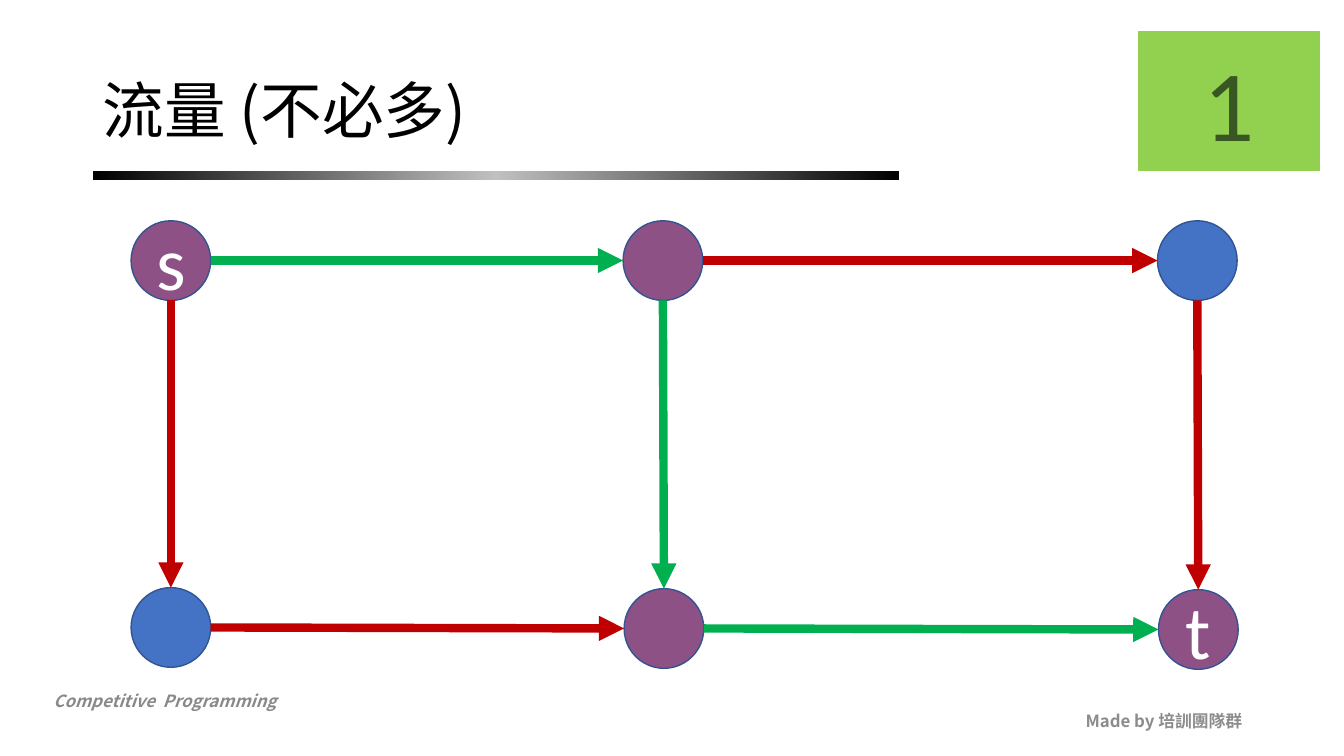
from copy import deepcopy

from lxml import etree
from pptx import Presentation
from pptx.dml.color import RGBColor
from pptx.enum.shapes import MSO_CONNECTOR, MSO_SHAPE
from pptx.enum.text import MSO_ANCHOR, PP_ALIGN
from pptx.oxml.ns import qn
from pptx.util import Inches, Pt

RECTANGLE, OVAL = MSO_SHAPE.RECTANGLE, MSO_SHAPE.OVAL
STRAIGHT = MSO_CONNECTOR.STRAIGHT
TOP, MIDDLE = MSO_ANCHOR.TOP, MSO_ANCHOR.MIDDLE
LEFT, CENTER, RIGHT = PP_ALIGN.LEFT, PP_ALIGN.CENTER, PP_ALIGN.RIGHT

COLORS = {
    "black": "000000",
    "silver": "C0C0C0",
    "white": "FFFFFF",
    "footer": "898989",
    "credit": "8C8C8C",
    "blue": "4472C4",
    "purple": "8D5186",
    "outline": "325491",
    "green": "00B050",
    "red": "C00000",
    "lime": "92D050",
    "forest": "385723",
}
SANS, LATIN = "Noto Sans CJK SC", "Calibri"
NODE_SIZE = 0.79

NODES = {
    "source": (0, 0, "purple", "s"),
    "top": (4.88, 0, "purple", ""),
    "corner": (10.18, 0, "blue", ""),
    "start": (0, 3.64, "blue", ""),
    "bottom": (4.89, 3.65, "purple", ""),
    "sink": (10.19, 3.66, "purple", "t"),
}
ACROSS = [
    ("source", "top", "green"),
    ("top", "corner", "red"),
    ("start", "bottom", "red"),
    ("bottom", "sink", "green"),
]
DOWN = [
    ("source", "start", "red"),
    ("top", "bottom", "green"),
    ("corner", "sink", "red"),
]


def color(name):
    return RGBColor.from_string(COLORS[name])


def write(shape, text, ink, align=CENTER, anchor=MIDDLE, spacing=1.0, **font):
    frame = shape.text_frame
    frame.word_wrap = True
    frame.vertical_anchor = anchor
    para = frame.paragraphs[0]
    para.alignment = align
    para.line_spacing = spacing
    span = para.add_run()
    span.text = text
    for name, value in font.items():
        setattr(span.font, name, value)
    span.font.color.rgb = color(ink)
    east_asian = etree.SubElement(span.font._element, qn("a:ea"))
    east_asian.set("typeface", font["name"])


def add_text(page, box, text, ink, **style):
    write(page.shapes.add_textbox(*map(Inches, box)), text, ink, **style)


def add_block(page, kind, box, fill, outline):
    shape = page.shapes.add_shape(kind, *map(Inches, box))
    shape.shadow.inherit = False
    shape.fill.solid()
    shape.fill.fore_color.rgb = color(fill)
    shape.line.color.rgb = color(outline)
    shape.line.width = Pt(1)
    return shape


def add_rule(page, box):
    rule = page.shapes.add_shape(RECTANGLE, *map(Inches, box))
    rule.shadow.inherit = False
    rule.line.fill.background()
    rule.fill.gradient()
    rule.fill.gradient_angle = 0
    first = rule._element.spPr.find(".//" + qn("a:gs"))
    first.addnext(deepcopy(first))
    stops = zip(rule.fill.gradient_stops, (0, 0.5, 1), ("black", "silver", "black"))
    for stop, position, name in stops:
        stop.position = position
        stop.color.rgb = color(name)


def add_arrow(page, begin, end, name):
    arrow = page.shapes.add_connector(STRAIGHT, *map(Inches, begin + end))
    arrow.line.color.rgb = color(name)
    arrow.line.width = Pt(6)
    etree.SubElement(arrow.line._get_or_add_ln(), qn("a:tailEnd"), type="triangle")
    etree.SubElement(arrow._element.spPr, qn("a:effectLst"))


def add_header(page, box):
    left, top, width, height = box
    add_text(page, box, "流量 (不必多)", "black", align=LEFT, spacing=0.9,
             name=SANS, size=Pt(44))
    add_rule(page, (left, top + 1.3, 8, 0.09))
    badge_box = (left + width - 1.13, top - 0.09, 1.8, 1.38)
    badge = add_block(page, RECTANGLE, badge_box, "lime", "lime")
    write(badge, "1", "forest", name=LATIN, size=Pt(72))


def add_network(page, left, top):
    corners = {}
    for key, (across, down, fill, label) in NODES.items():
        x, y = corners[key] = (left + across, top + down)
        node = add_block(page, OVAL, (x, y, NODE_SIZE, NODE_SIZE), fill, "outline")
        if label:
            write(node, label, "white", name=LATIN, size=Pt(54))

    half = NODE_SIZE / 2
    for edges, leave, arrive in (
        (ACROSS, (NODE_SIZE, half), (0, half)),
        (DOWN, (half, NODE_SIZE), (half, 0)),
    ):
        for origin, target, name in edges:
            begin = tuple(a + b for a, b in zip(corners[origin], leave))
            end = tuple(a + b for a, b in zip(corners[target], arrive))
            add_arrow(page, begin, end, name)


def add_footer(page, left, top):
    style = {"name": SANS, "size": Pt(12), "bold": True}
    add_text(page, (left, top, 4.25, 0.3), "Competitive  Programming", "footer",
             align=LEFT, anchor=TOP, italic=True, **style)
    add_text(page, (left + 8.99, top + 0.15, 3, 0.4), "Made by 培訓團隊群", "credit",
             align=RIGHT, **style)


def main():
    deck = Presentation()
    deck.slide_width, deck.slide_height = Inches(13.33), Inches(7.5)
    page = deck.slides.add_slide(deck.slide_layouts[6])
    add_footer(page, 0.43, 6.8)
    add_header(page, (0.92, 0.4, 11.5, 1.45))
    add_network(page, 1.3, 2.19)
    deck.save("out.pptx")


if __name__ == "__main__":
    main()
